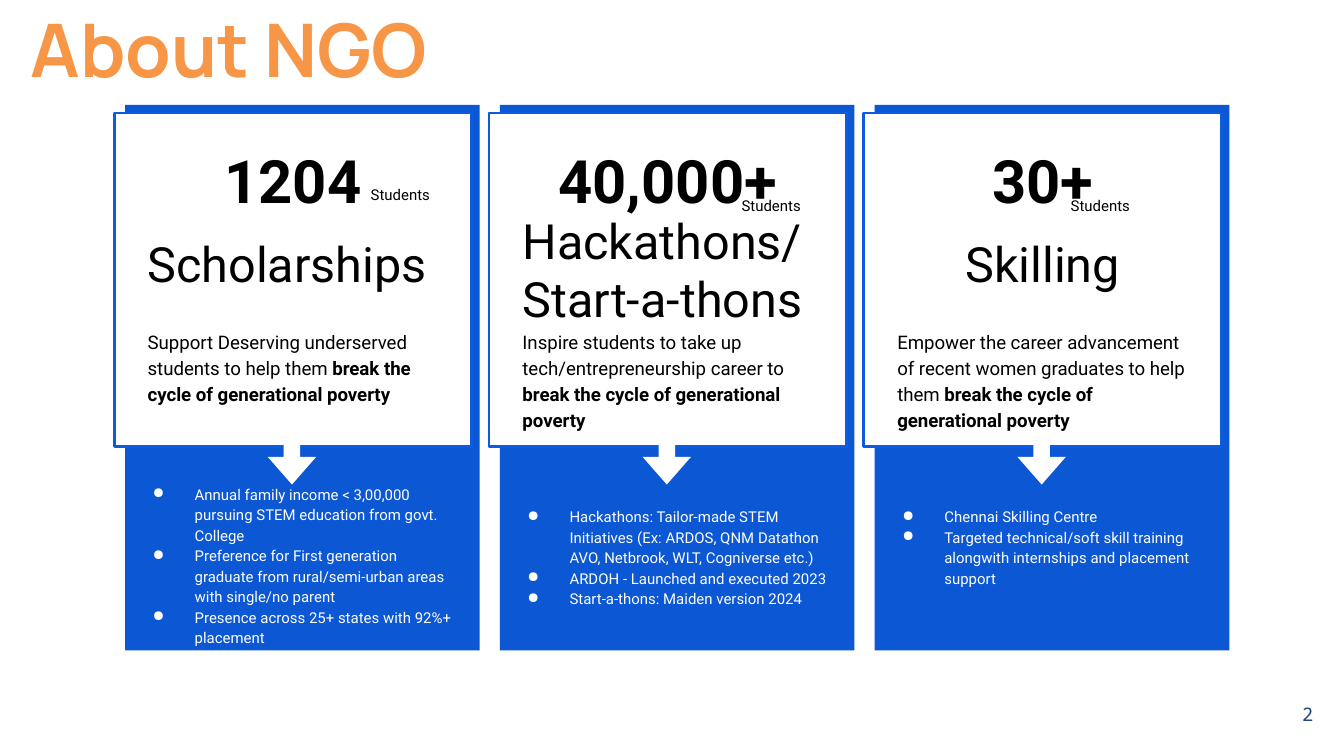
"""Builds a slide with three programme cards."""
from dataclasses import dataclass

from lxml.etree import SubElement
from pptx import Presentation
from pptx.dml.color import RGBColor
from pptx.enum.shapes import MSO_SHAPE
from pptx.enum.text import MSO_ANCHOR, PP_ALIGN
from pptx.oxml.ns import qn
from pptx.util import Pt


@dataclass(frozen=True)
class Theme:
    """Colours, fonts and type sizes of the slide."""
    orange: str = "F79646"
    navy: str = "1F497D"
    blue: str = "0C57D3"
    outline: str = "0D5CDF"
    white: str = "FFFFFF"
    black: str = "000000"
    title_font: str = "Manrope"
    body_font: str = "Roboto"
    number_font: str = "Noto Sans Mono"
    title: float = 39.6
    figure: float = 32
    heading: float = 26
    body: float = 10
    small: float = 8
    spacing: float = 1.15


class SlideBuilder:
    """Holds the theme and the current page."""

    def __init__(self, page, theme):
        """Keep the page and its theme."""
        self.page = page
        self.theme = theme

    def shape(self, kind, left, top, width, height, fill, line=None):
        """Add a filled preset shape with an optional outline."""
        shape = self.page.shapes.add_shape(kind, Pt(left), Pt(top), Pt(width), Pt(height))
        shape.shadow.inherit = False
        shape.fill.solid()
        shape.fill.fore_color.rgb = RGBColor.from_string(fill)
        if line:
            shape.line.color.rgb = RGBColor.from_string(line)
            shape.line.width = Pt(1.5)
        else:
            shape.line.fill.background()
        return shape

    def arrow(self, left, top):
        """Add a block arrow that points down."""
        arrow = self.shape(MSO_SHAPE.RIGHT_ARROW, left, top, 28, 26, self.theme.white)
        arrow.rotation = 90
        arrow.adjustments[0] = 0.34
        arrow.adjustments[1] = 0.57

    def text(self, left, top, width, height, paragraphs, size, color=None, font=None,
             bold=False, bullet=False, anchor=MSO_ANCHOR.TOP, **paragraph_format):
        """Add a text box; each paragraph is a list of (words, bold) spans."""
        box = self.page.shapes.add_textbox(Pt(left), Pt(top), Pt(width), Pt(height))
        frame = box.text_frame
        margins = {f"margin_{side}": Pt(7.2) for side in ("left", "top", "right", "bottom")}
        for name, value in {"word_wrap": True, "vertical_anchor": anchor, **margins}.items():
            setattr(frame, name, value)
        for index, spans in enumerate(paragraphs):
            para = frame.add_paragraph() if index else frame.paragraphs[0]
            for name, value in paragraph_format.items():
                setattr(para, name, value)
            if bullet:
                self.bullet(para)
            for words, strong in spans:
                span = para.add_run()
                span.text = words
                style = {"size": Pt(size), "name": font or self.theme.body_font,
                         "bold": bold or strong}
                for name, value in style.items():
                    setattr(span.font, name, value)
                span.font.color.rgb = RGBColor.from_string(color or self.theme.black)

    def bullet(self, para):
        """Give a paragraph a hanging round bullet."""
        properties = para._p.get_or_add_pPr()
        properties.set("marL", str(Pt(36)))
        properties.set("indent", str(Pt(-22.5)))
        color = SubElement(properties, qn("a:buClr"))
        SubElement(color, qn("a:srgbClr"), val=self.theme.white)
        SubElement(properties, qn("a:buChar"), char="●")

    def card(self, left, figure, heading, summary, points, heading_top=118,
             heading_align=PP_ALIGN.LEFT, points_top=263.5, label=(130, 98.5)):
        """Add one programme card with its figure, summary and points."""
        theme = self.theme
        inner = left + 10.8
        self.shape(MSO_SHAPE.RECTANGLE, left + 5.8, 56.2, 190, 292.3, theme.blue)
        self.shape(MSO_SHAPE.RECTANGLE, left, 60.5, 191.5, 178.6, theme.white, theme.outline)
        self.text(inner, heading_top, 170, 44, [[(heading, False)]], theme.heading,
                  alignment=heading_align)
        self.text(inner, 168.5, 170, 60,
                  [[(summary, False), ("break the cycle of generational poverty", True)]],
                  theme.body, line_spacing=theme.spacing)
        self.text(inner, 69.8, 170, 48, [[(figure, False)]], theme.figure, bold=True,
                  alignment=PP_ALIGN.CENTER)
        self.arrow(left + 81.2, 232.6)
        self.text(left, points_top, 190, 78, [[(point, False)] for point in points],
                  theme.small, theme.white, bullet=True, line_spacing=theme.spacing)
        self.text(left + label[0], label[1], 50.4, 24, [[("Students", False)]],
                  theme.small, line_spacing=theme.spacing)


CARDS = [
    dict(figure="1204", heading="Scholarships",
         summary="Support Deserving underserved students to help them ",
         points=["Annual family income < 3,00,000 pursuing STEM education from govt. College",
                 "Preference for First generation graduate from rural/semi-urban areas "
                 "with single/no parent",
                 "Presence across 25+ states with 92%+ placement"],
         points_top=251.3, label=(130.3, 92.2)),
    dict(figure="40,000+", heading="Hackathons/Start-a-thons",
         summary="Inspire students to take up tech/entrepreneurship career to ",
         points=["Hackathons: Tailor-made STEM Initiatives (Ex: ARDOS, QNM Datathon "
                 "AVO, Netbrook, WLT, Cogniverse etc.)",
                 "ARDOH - Launched and executed 2023",
                 "Start-a-thons: Maiden version 2024"],
         heading_top=105.8, label=(128.2, 98.6)),
    dict(figure="30+", heading="Skilling",
         summary="Empower the career advancement of recent women graduates to help them ",
         points=["Chennai Skilling Centre",
                 "Targeted technical/soft skill training alongwith internships "
                 "and placement support"],
         heading_align=PP_ALIGN.CENTER, label=(103.7, 98.6)),
]


def main():
    """Build and save the deck."""
    deck = Presentation()
    deck.slide_width, deck.slide_height = Pt(720), Pt(405)
    theme = Theme()
    builder = SlideBuilder(deck.slides.add_slide(deck.slide_layouts[6]), theme)
    builder.text(9.4, -0.7, 671, 57.6, [[("About NGO", False)]], theme.title, theme.orange,
                 theme.title_font, bold=True, anchor=MSO_ANCHOR.BOTTOM)
    builder.text(667.4, 367.2, 43.2, 31, [[("2", False)]], theme.body, theme.navy,
                 theme.number_font, anchor=MSO_ANCHOR.MIDDLE, alignment=PP_ALIGN.RIGHT)
    for index, card in enumerate(CARDS):
        builder.card(61.2 + index * 200.8, **card)
    deck.save("out.pptx")


if __name__ == "__main__":
    main()
